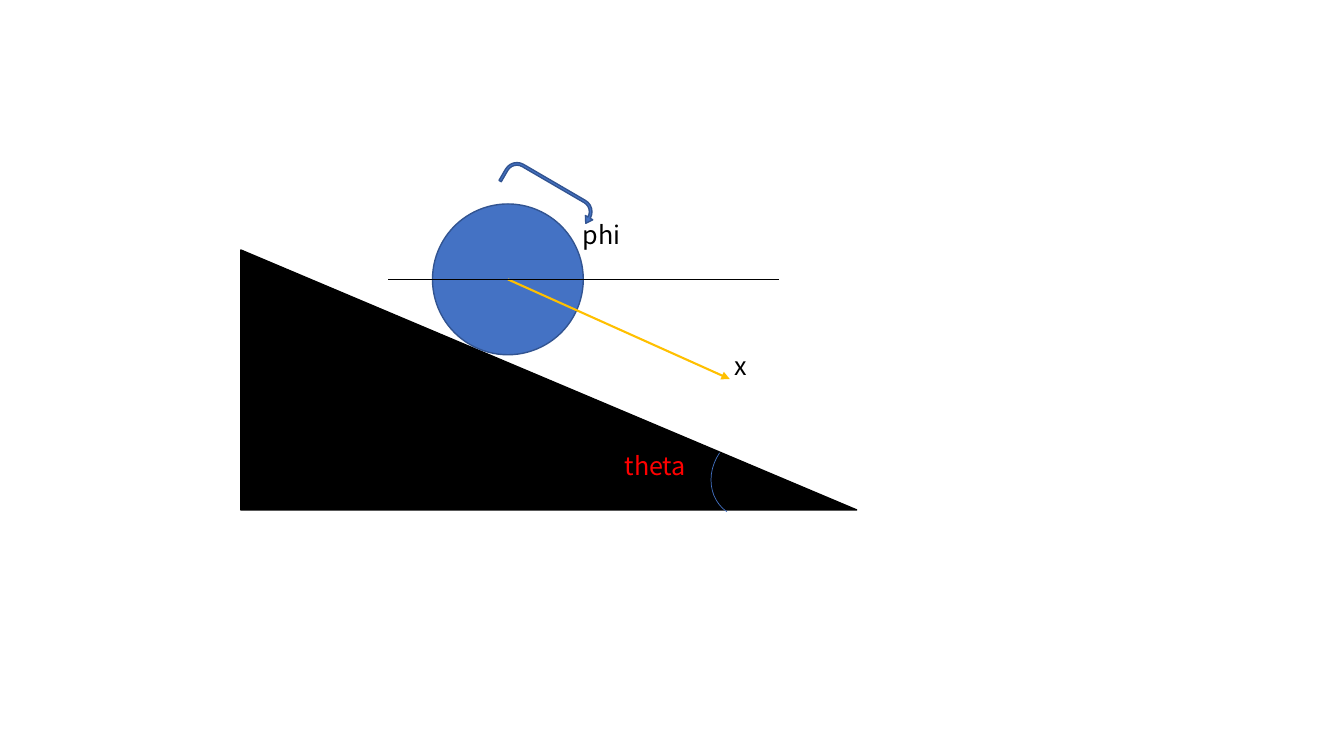
from lxml.etree import SubElement
from pptx import Presentation
from pptx.dml.color import RGBColor
from pptx.enum.shapes import MSO_CONNECTOR, MSO_SHAPE as Preset
from pptx.enum.text import MSO_AUTO_SIZE
from pptx.oxml.ns import qn
from pptx.util import Cm, Pt

BLACK, BLUE, DARK_BLUE, GOLD, RED = "000000", "4472C4", "325491", "FFC000", "FF0000"


def color(hex_value):
    return RGBColor.from_string(hex_value)


def style_line(line, hex_value, width):
    line.color.rgb = color(hex_value)
    line.width = Pt(width)


deck = Presentation()
deck.slide_width, deck.slide_height = Cm(33.87), Cm(19.05)
slide = deck.slides.add_slide(deck.slide_layouts[6])
diagram = slide.shapes.add_group_shape().shapes

ball_x, ball_y, radius = 12.8, 7.04, 1.9
ball_box = (ball_x - radius, ball_y - radius, 2 * radius, 2 * radius)

bodies = [
    (Preset.RIGHT_TRIANGLE, (6.07, 6.3, 15.52, 6.55), 0, BLACK, BLACK, 1, []),
    (Preset.OVAL, ball_box, 0, BLUE, DARK_BLUE, 1, []),
    (Preset.U_TURN_ARROW, (12.57, 4.57, 2.54, 0.66), 30.2, BLUE, DARK_BLUE, 1,
     [0.1, 0.16, 0.25, 0.5, 0.75]),
    (Preset.ARC, (17.96, 10.85, 1.98, 2.24), 214.4, None, BLUE, 0.5, []),
]
for preset, box, rotation, fill, outline, width, adjustments in bodies:
    body = diagram.add_shape(preset, *map(Cm, box))
    body.rotation = rotation
    body.shadow.inherit = False
    if fill:
        body.fill.solid()
        body.fill.fore_color.rgb = color(fill)
    else:
        body.fill.background()
    style_line(body.line, outline, width)
    for index, value in enumerate(adjustments):
        body.adjustments[index] = value

axes = [
    ((ball_x, ball_y, 18.39, 9.55), GOLD, 1.5, True),
    ((9.78, ball_y, 19.63, ball_y), BLACK, 0.5, False),
]
for ends, hex_value, width, has_arrowhead in axes:
    axis = diagram.add_connector(MSO_CONNECTOR.STRAIGHT, *map(Cm, ends))
    style_line(axis.line, hex_value, width)
    if has_arrowhead:
        SubElement(axis.line._get_or_add_ln(), qn("a:tailEnd"), type="triangle")
    SubElement(axis._element.spPr, qn("a:effectLst"))

label_format = {"name": "Noto Sans CJK KR", "size": Pt(18)}
labels = [
    ("phi", 14.43, 5.41, BLACK),
    ("theta", 15.49, 11.23, RED),
    ("x", 18.26, 8.71, BLACK),
]
for symbol, left, top, hex_value in labels:
    label = diagram.add_textbox(Cm(left), Cm(top), Cm(2.13), Cm(1.02)).text_frame
    label.word_wrap = True
    label.auto_size = MSO_AUTO_SIZE.SHAPE_TO_FIT_TEXT
    run = label.paragraphs[0].add_run()
    run.text = symbol
    for attribute, value in label_format.items():
        setattr(run.font, attribute, value)
    run.font.color.rgb = color(hex_value)

deck.save("out.pptx")
